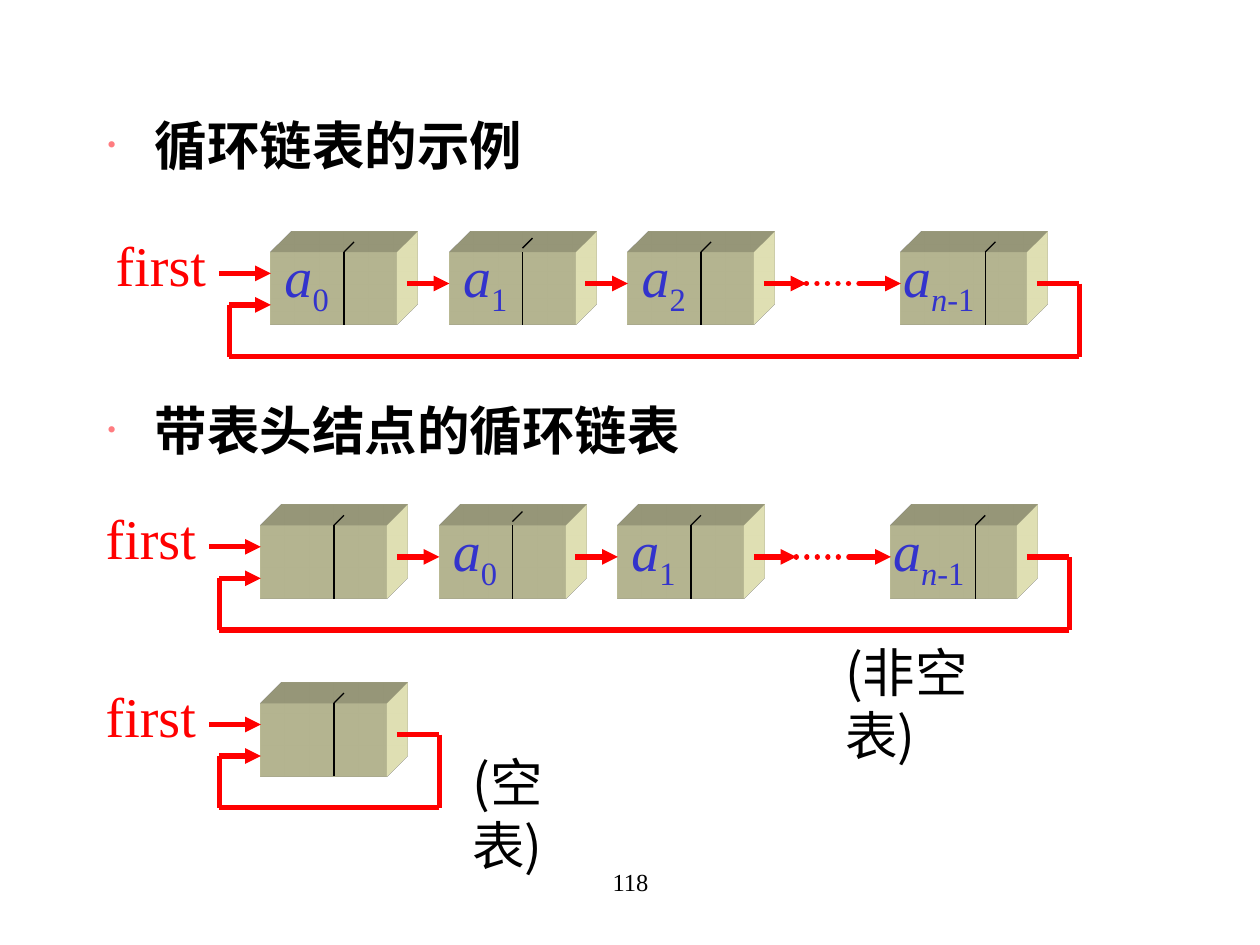
from lxml.etree import SubElement as Sub
from pptx import Presentation
from pptx.dml.color import RGBColor
from pptx.enum.dml import MSO_LINE
from pptx.enum.shapes import MSO_CONNECTOR, MSO_SHAPE
from pptx.enum.text import MSO_ANCHOR, MSO_AUTO_SIZE, PP_ALIGN
from pptx.oxml.ns import qn
from pptx.util import Inches, Pt

ROMAN, HAN = "Times New Roman", "Noto Sans CJK SC"
RED, BLUE, BLACK, CREAM = "FF0000", "3333CC", "000000", "FFFFCC"
STEP, LAST = 17 / 12, 5.0
WIDE, HIGH = 1.0, 0.58


def tint(color, code):
    color.rgb = RGBColor.from_string(code)


def write(para, text, size=32, hue=BLACK, font=ROMAN, bold=False, slant=False, base=0):
    run = para.add_run()
    run.text = text
    face = run.font
    face.size, face.name, face.bold, face.italic = Pt(size), font, bold, slant
    face.fill.solid()
    tint(face.fill.fore_color, hue)
    props = face._element
    Sub(props, qn("a:ea")).set("typeface", HAN)
    if base:
        props.set("baseline", str(base * 1000))


def frame(slide, left, top, width, height, wrap=False):
    box = slide.shapes.add_textbox(*map(Inches, (left, top, width, height)))
    box.text_frame.word_wrap = wrap
    return box.text_frame.paragraphs[0]


def line(slide, start, end, hue=RED, width=3, head=False, dots=False):
    ends = map(Inches, (*start, *end))
    link = slide.shapes.add_connector(MSO_CONNECTOR.STRAIGHT, *ends)
    tint(link.line.color, hue)
    link.line.width = Pt(width)
    stroke = link.line._get_or_add_ln()
    if dots:
        link.line.dash_style = MSO_LINE.ROUND_DOT
        stroke.set("cap", "rnd")
    if head:
        Sub(stroke, qn("a:tailEnd")).set("type", "triangle")
    Sub(link._element.spPr, qn("a:effectLst"))


def deepen(shape):
    props = shape._element.spPr
    scene = Sub(props, qn("a:scene3d"))
    Sub(scene, qn("a:camera")).set("prst", "legacyObliqueTopRight")
    light = Sub(scene, qn("a:lightRig"))
    light.set("rig", "legacyFlat3")
    light.set("dir", "b")
    solid = Sub(props, qn("a:sp3d"))
    solid.set("extrusionH", "430200")
    solid.set("prstMaterial", "legacyMatte")
    Sub(Sub(solid, qn("a:extrusionClr")), qn("a:srgbClr")).set("val", CREAM)


def block(slide, x, y):
    box = map(Inches, (x, y, WIDE, HIGH))
    shape = slide.shapes.add_shape(MSO_SHAPE.RECTANGLE, *box)
    shape.fill.solid()
    tint(shape.fill.fore_color, CREAM)
    shape.line.fill.background()
    shape.shadow.inherit = False
    deepen(shape)


def node(slide, x, y, sub, lift=0):
    block(slide, x, y)
    final = sub.startswith("n")
    mid = x + (0.67 if final else 0.58)
    line(slide, (mid, y), (mid, y + HIGH), BLACK, 0.75)
    line(slide, (mid, y - lift), (mid + 0.08, y - lift - 0.08), BLACK, 0.75)
    if sub:
        shift, width = (-0.08, 0.83) if final else (0.01, 0.57)
        para = frame(slide, x + shift, y - 0.13, width, 0.63)
        write(para, "a", hue=BLUE, slant=True)
        if final:
            write(para, "n", hue=BLUE, slant=True, base=-25)
        write(para, sub.removeprefix("n"), hue=BLUE, base=-25)


def chain(slide, x, y, subs):
    places = [x + i * STEP for i in range(len(subs))]
    if len(subs) > 1:
        places[-1] = x + LAST
    for i, (place, sub) in enumerate(zip(places, subs)):
        node(slide, place, y, sub, 0.03 if i == 1 else 0)

    mid, back, low = y + 0.25, y + 0.42, y + 0.83
    for place in places[:-1]:
        line(slide, (place + 1.08, mid), (place + STEP, mid), head=True)
    if len(subs) > 1:
        end = places[-1]
        line(slide, (end - 0.75, mid), (end - 0.25, mid), dots=True)
        line(slide, (end - 0.33, mid), (end, mid), head=True)

    left, right = x - 0.33, places[-1] + STEP
    loop = [(places[-1] + 1.08, mid), (right, mid), (right, low),
            (left, low), (left, back), (x, back)]
    for start, stop in zip(loop, loop[1:]):
        line(slide, start, stop, head=stop == loop[-1])
    line(slide, (x - 0.41, y + 0.17), (x, y + 0.17), head=True)
    write(frame(slide, x - 1.33, y - 0.22, 0.99, 0.63), "first", hue=RED)


def bullet(para):
    props = para._p.get_or_add_pPr()
    props.set("marL", str(Inches(0.38)))
    props.set("indent", str(-Inches(0.38)))
    Sub(Sub(props, qn("a:buClr")), qn("a:srgbClr")).set("val", "FF7C80")
    Sub(props, qn("a:buSzPct")).set("val", "50000")
    Sub(props, qn("a:buFont")).set("typeface", ROMAN)
    Sub(props, qn("a:buChar")).set("char", "•")


def heads(slide, box, items, gap):
    body = slide.placeholders[1]
    body.left, body.top, body.width, body.height = map(Inches, box)
    text = body.text_frame
    text.auto_size = MSO_AUTO_SIZE.NONE
    text.vertical_anchor = MSO_ANCHOR.TOP
    for i, item in enumerate(items):
        para = text.add_paragraph() if i else text.paragraphs[0]
        para.line_spacing = 1.05
        para.space_before = Pt(gap if i else 0)
        bullet(para)
        write(para, item, size=30, bold=True)


def main():
    deck = Presentation()
    deck.slide_width, deck.slide_height = Inches(10), Inches(7.5)
    slide = deck.slides.add_slide(deck.slide_layouts[1])
    title = slide.shapes.title.element
    title.getparent().remove(title)

    heads(slide, (0.75, 0.82, 8.5, 3.25),
          ["循环链表的示例", "带表头结点的循环链表"], 125.5)
    chain(slide, 2.15, 2, ["0", "1", "2", "n-1"])
    chain(slide, 2.07, 4.17, ["", "0", "1", "n-1"])
    chain(slide, 2.07, 5.58, [""])
    for text, left, top, width in [("(空表)", 3.65, 5.9, 0.95),
                                   ("(非空表)", 6.61, 5.03, 1.3)]:
        para = frame(slide, left, top, width, 1.1, wrap=True)
        write(para, text, size=30, font=HAN)
    page = frame(slide, 3.42, 6.83, 3.17, 0.5, wrap=True)
    page.alignment = PP_ALIGN.CENTER
    write(page, "118", size=14)
    deck.save("out.pptx")


if __name__ == "__main__":
    main()
